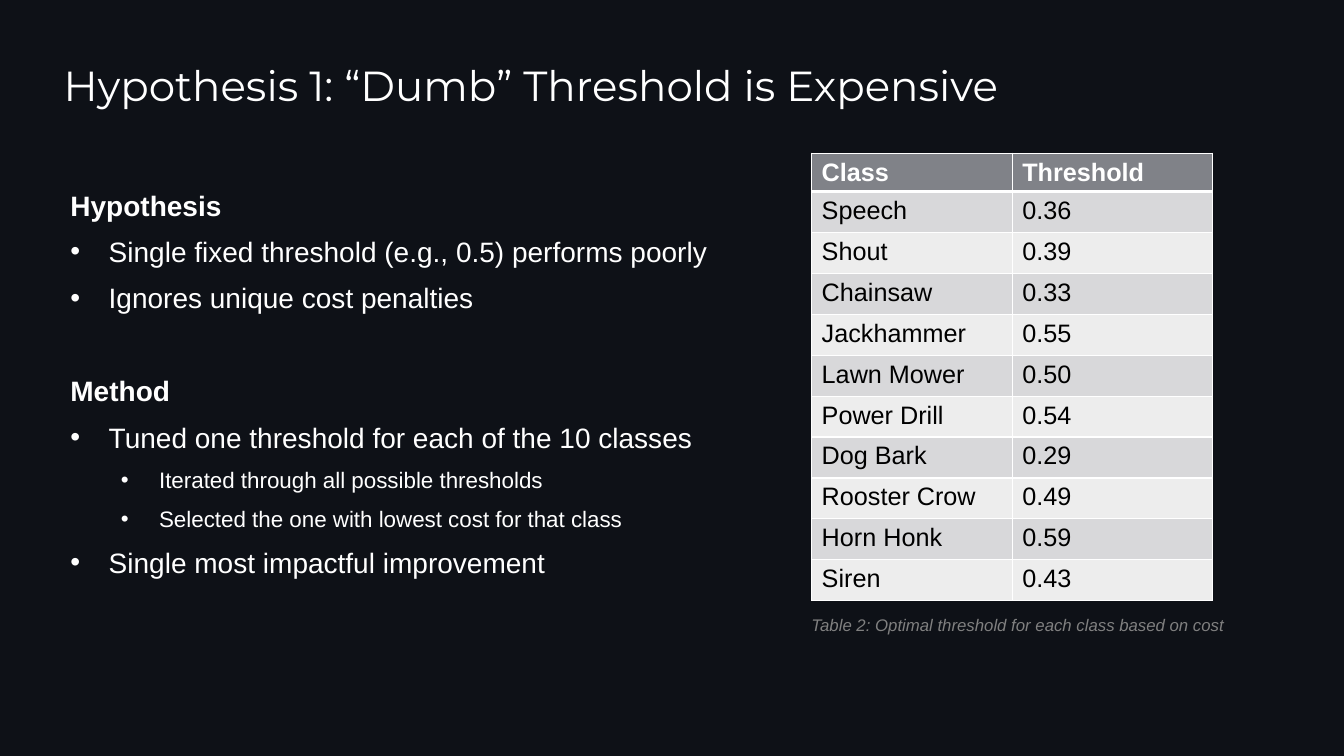
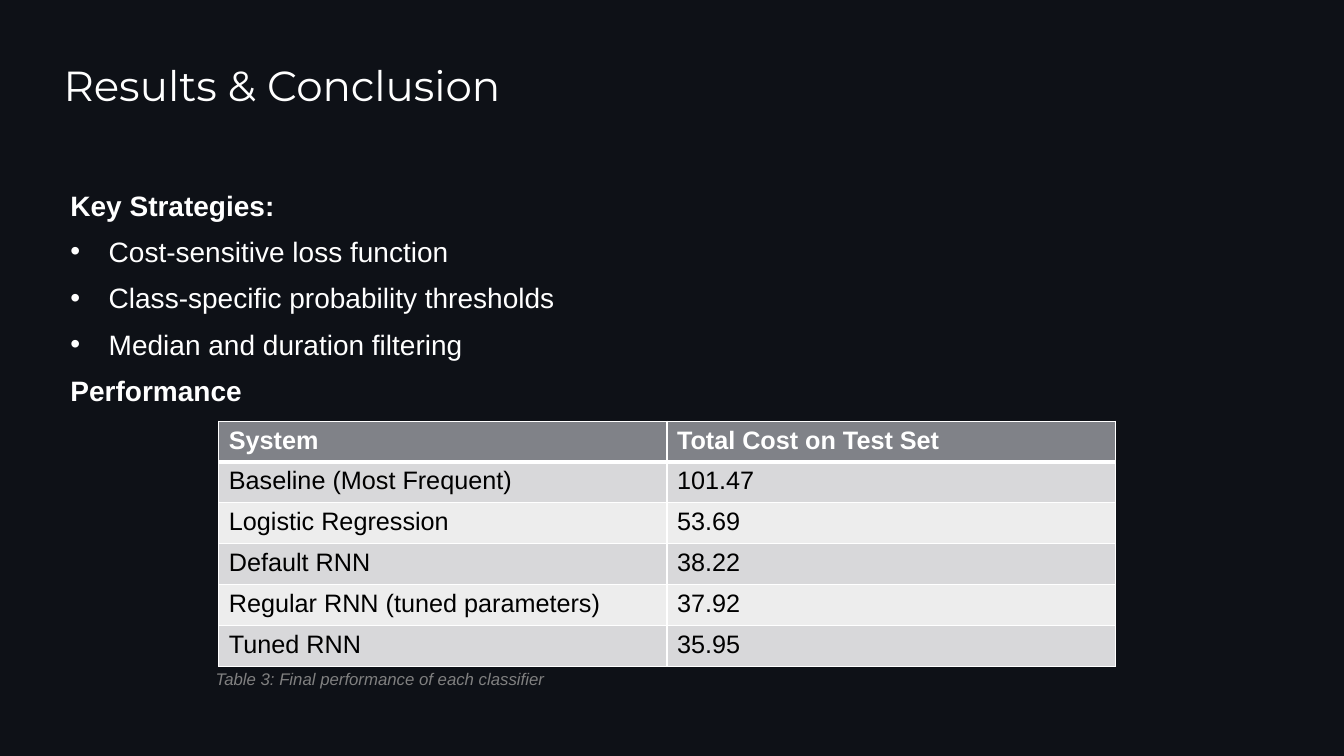
from lxml.etree import SubElement
from pptx import Presentation
from pptx.dml.color import RGBColor
from pptx.enum.text import MSO_ANCHOR, MSO_AUTO_SIZE, PP_ALIGN
from pptx.oxml.ns import qn
from pptx.util import Inches, Pt

NIGHT = RGBColor(0x0E, 0x11, 0x17)
WHITE = RGBColor(0xFF, 0xFF, 0xFF)
BLACK = RGBColor(0x00, 0x00, 0x00)
GRAY = RGBColor(0x80, 0x80, 0x80)
STEEL = RGBColor(0x80, 0x82, 0x88)
BANDS = (RGBColor(0xED, 0xED, 0xED), RGBColor(0xD8, 0xD8, 0xDA))

TITLE = {"name": "Montserrat", "size": Pt(30)}
HEAD = {"name": "Arial", "size": Pt(20), "bold": True}
ITEM = {"name": "Arial", "size": Pt(20), "bold": False}
NESTED = {"name": "Arial", "size": Pt(16), "bold": False}
NOTE = {"name": "Arial", "size": Pt(12), "italic": True}
LABEL = {"name": "Arial", "size": Pt(18), "bold": True}
VALUE = {"name": "Arial", "size": Pt(18), "bold": False}
FRAME = {"word_wrap": True, "auto_size": MSO_AUTO_SIZE.NONE,
         "vertical_anchor": MSO_ANCHOR.TOP}
LEVELS = {"head": (HEAD, 0.08, 0), "item": (ITEM, 0.46, -0.38),
          "nested": (NESTED, 0.96, -0.38)}
GAP = Pt(8)
BREAK = Pt(41)


def assign(target, values):
    """Set each attribute named in a dict."""
    for name, value in values.items():
        setattr(target, name, value)


def paint(font, look, color):
    """Apply a text look and a colour to a font."""
    assign(font, look)
    font.color.rgb = color


def place(shape, left, top, width, height):
    """Put a shape at a place given in inches."""
    assign(shape, {"left": Inches(left), "top": Inches(top),
                   "width": Inches(width), "height": Inches(height)})


def add_slide(deck, title):
    """Add a slide with its formatted title."""
    slide = deck.slides.add_slide(deck.slide_layouts[5])
    shape = slide.shapes.title
    place(shape, 0.53, 0.63, 12.16, 1.08)
    assign(shape.text_frame, FRAME)
    line = shape.text_frame.paragraphs[0]
    line.text = title
    assign(line, {"alignment": PP_ALIGN.LEFT, "line_spacing": 0.83})
    paint(line.font, TITLE, WHITE)
    return slide


def add_box(slide, left, top, width, height):
    """Add a wrapping text box and return its frame."""
    box = slide.shapes.add_textbox(*map(Inches, (left, top, width, height)))
    assign(box.text_frame, FRAME)
    return box.text_frame


def add_body(slide, lines):
    """Write headings and bullets, with a break before later groups."""
    frame = add_box(slide, 0.52, 1.8, 12.16, 4.94)
    for index, (kind, text, space) in enumerate(lines):
        line = frame.paragraphs[0] if index == 0 else frame.add_paragraph()
        look, margin, indent = LEVELS[kind]
        line.text = text
        assign(line, {"line_spacing": 1.05, "space_before": space,
                      "level": int(kind == "nested")})
        props = line._p.get_or_add_pPr()
        props.set("marL", str(Inches(margin)))
        props.set("indent", str(Inches(indent)))
        if kind != "head":
            SubElement(props, qn("a:buFont"), typeface="Arial")
            SubElement(props, qn("a:buChar"), char="•")
        paint(line.font, look, WHITE)


def add_edge(cell, side, width):
    """Draw one white border of a cell."""
    edge = SubElement(cell._tc.get_or_add_tcPr(), qn(f"a:ln{side}"),
                      w=str(Pt(width)))
    fill = SubElement(edge, qn("a:solidFill"))
    SubElement(fill, qn("a:srgbClr"), val=str(WHITE))


def fill_cell(cell, text, row):
    """Write, border and fill a cell according to its row."""
    for side in "LRTB":
        heavy = (row, side) in ((0, "B"), (1, "T"))
        add_edge(cell, side, 3 if heavy else 1)
    cell.fill.solid()
    cell.fill.fore_color.rgb = BANDS[row % 2] if row else STEEL
    cell.text = text
    font = cell.text_frame.paragraphs[0].font
    paint(font, VALUE if row else LABEL, BLACK if row else WHITE)


def add_grid(slide, rows, left, top, width, height, head):
    """Add a banded table with equal rows below its head."""
    shape = slide.shapes.add_table(
        len(rows), len(rows[0]), *map(Inches, (left, top, width, height)))
    table = shape.table
    step = Inches((height - head) / (len(rows) - 1))
    for index, row in enumerate(rows):
        table.rows[index].height = step if index else Inches(head)
        for column, text in enumerate(row):
            fill_cell(table.cell(index, column), text, index)


def add_note(slide, text, left, top):
    """Add a caption in gray italics."""
    line = add_box(slide, left, top, 5.2, 0.3).paragraphs[0]
    line.text = text
    paint(line.font, NOTE, GRAY)


def add_test(deck):
    """Build the threshold slide."""
    slide = add_slide(deck, "Hypothesis 1: “Dumb” Threshold is Expensive")
    add_body(slide, (
        ("head", "Hypothesis", 0),
        ("item", "Single fixed threshold (e.g., 0.5) performs poorly", GAP),
        ("item", "Ignores unique cost penalties", GAP),
        ("head", "Method", BREAK),
        ("item", "Tuned one threshold for each of the 10 classes", GAP),
        ("nested", "Iterated through all possible thresholds", GAP),
        ("nested", "Selected the one with lowest cost for that class", GAP),
        ("item", "Single most impactful improvement", GAP)))
    add_grid(slide, (
        ("Class", "Threshold"), ("Speech", "0.36"), ("Shout", "0.39"),
        ("Chainsaw", "0.33"), ("Jackhammer", "0.55"), ("Lawn Mower", "0.50"),
        ("Power Drill", "0.54"), ("Dog Bark", "0.29"),
        ("Rooster Crow", "0.49"), ("Horn Honk", "0.59"), ("Siren", "0.43"),
    ), 8.05, 1.52, 3.98, 4.44, 0.38)
    add_note(slide, "Table 2: Optimal threshold for each class based on cost",
             7.95, 6.05)


def add_close(deck):
    """Build the results slide."""
    slide = add_slide(deck, "Results & Conclusion")
    add_body(slide, (
        ("head", "Key Strategies:", 0),
        ("item", "Cost-sensitive loss function", GAP),
        ("item", "Class-specific probability thresholds", GAP),
        ("item", "Median and duration filtering", GAP),
        ("head", "Performance", GAP)))
    add_grid(slide, (
        ("System", "Total Cost on Test Set"),
        ("Baseline (Most Frequent)", "101.47"),
        ("Logistic Regression", "53.69"), ("Default RNN", "38.22"),
        ("Regular RNN (tuned parameters)", "37.92"), ("Tuned RNN", "35.95"),
    ), 2.17, 4.18, 8.89, 2.43, 0.4)
    add_note(slide, "Table 3: Final performance of each classifier", 2.04, 6.59)


def main():
    """Build and save the deck."""
    deck = Presentation()
    assign(deck, {"slide_width": Inches(13.33), "slide_height": Inches(7.5)})
    fill = deck.slide_master.background.fill
    fill.solid()
    fill.fore_color.rgb = NIGHT
    add_test(deck)
    add_close(deck)
    deck.save("out.pptx")


if __name__ == "__main__":
    main()
